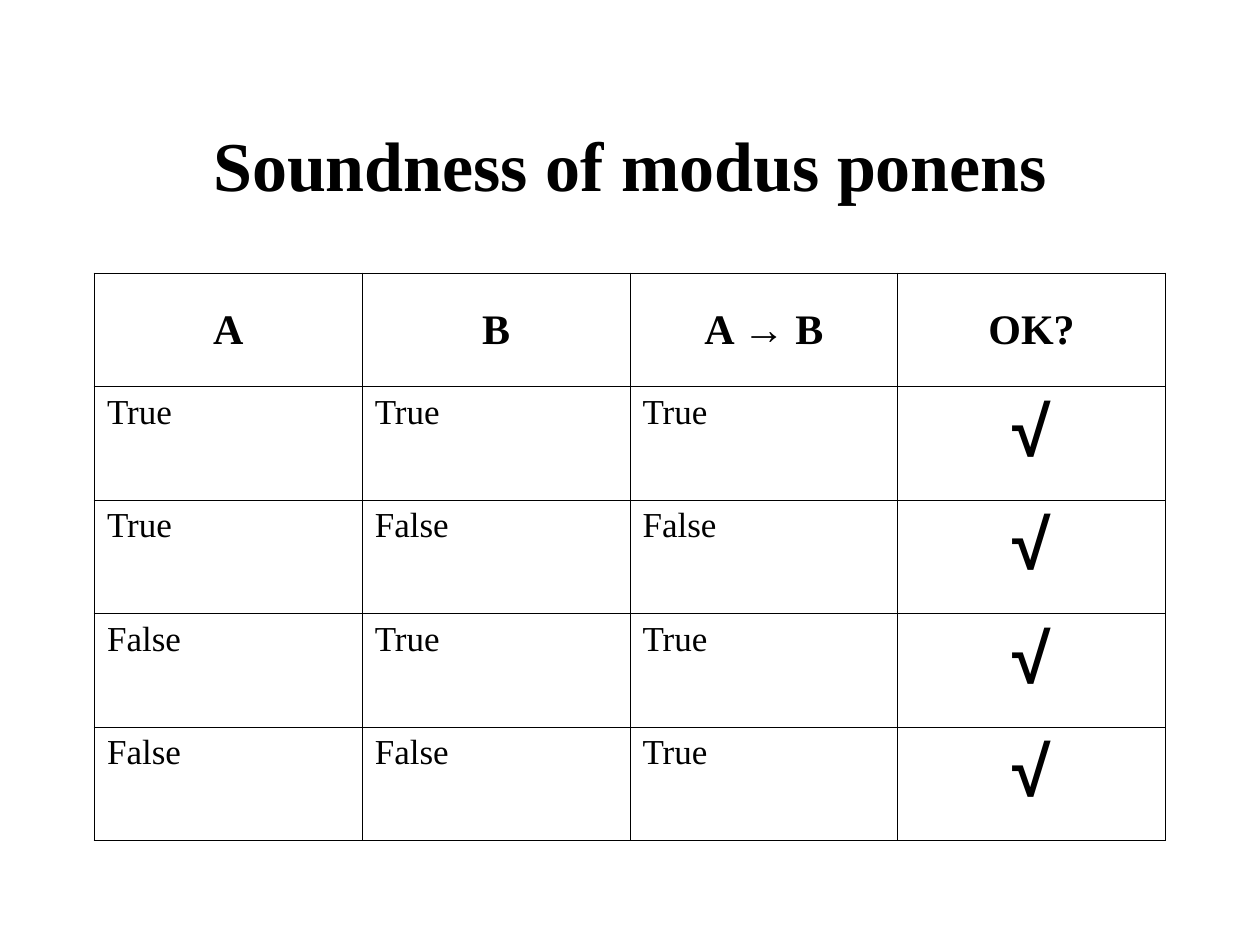
from dataclasses import dataclass

import lxml.etree
import pptx
import pptx.dml.color
import pptx.enum.text
import pptx.oxml.ns
import pptx.util

EMU_PER_PX = 9144  # 100 px to the inch
TITLE_BOX = (75, 67, 850, 125)
TABLE_BOX = (75, 217, 850, 450)

HEADINGS = ("A", "B", "A → B", "OK?")
TRUTH_ROWS = (
    ("True", "True", "True", "√"),
    ("True", "False", "False", "√"),
    ("False", "True", "True", "√"),
    ("False", "False", "True", "√"),
)

ALIGN = pptx.enum.text.PP_ALIGN
ANCHOR = pptx.enum.text.MSO_ANCHOR


@dataclass(frozen=True)
class Theme:
    ink: str = "000000"
    paper: str = "FFFFFF"
    serif: str = "Times New Roman"
    sans: str = "Arial"
    title_size: int = 40
    heading_size: int = 24
    value_size: int = 20
    mark_size: int = 40
    frame_width: float = 1.08
    grid_width: float = 0.45


THEME = Theme()

TITLE = {
    "font": {"name": THEME.serif, "size": pptx.util.Pt(THEME.title_size), "bold": True},
    "paragraph": {"alignment": ALIGN.CENTER},
}
HEADING = {
    "font": {"name": THEME.serif, "size": pptx.util.Pt(THEME.heading_size), "bold": True},
    "paragraph": {"alignment": ALIGN.CENTER, "space_before": pptx.util.Pt(6)},
    "cell": {"vertical_anchor": ANCHOR.MIDDLE},
}
VALUE = {
    "font": {"name": THEME.serif, "size": pptx.util.Pt(THEME.value_size), "bold": False},
    "paragraph": {"alignment": ALIGN.LEFT, "space_before": pptx.util.Pt(5)},
    "cell": {"vertical_anchor": ANCHOR.TOP},
}
MARK = {
    "font": {"name": THEME.sans, "size": pptx.util.Pt(THEME.mark_size), "bold": True},
    "paragraph": {"alignment": ALIGN.CENTER, "space_before": pptx.util.Pt(10)},
    "cell": {"vertical_anchor": ANCHOR.TOP},
}


def px(length):
    return pptx.util.Emu(length * EMU_PER_PX)


def set_all(target, values):
    for attribute, value in values.items():
        setattr(target, attribute, value)


def write_text(frame, text, style):
    paragraph = frame.paragraphs[0]
    set_all(paragraph, style["paragraph"])
    run = paragraph.add_run()
    run.text = text
    set_all(run.font, style["font"])
    run.font.color.rgb = pptx.dml.color.RGBColor.from_string(THEME.ink)


def add_title(slide, text):
    title = slide.shapes.title
    set_all(title, dict(zip(("left", "top", "width", "height"), map(px, TITLE_BOX))))
    set_all(title.text_frame, {
        "word_wrap": True,
        "auto_size": pptx.enum.text.MSO_AUTO_SIZE.NONE,
        "vertical_anchor": ANCHOR.MIDDLE,
    })
    write_text(title.text_frame, text, TITLE)


def set_borders(cell, on_frame):
    """Draw the four cell sides, heavier where a side lies on the outer frame."""
    qn = pptx.oxml.ns.qn
    properties = cell._tc.get_or_add_tcPr()
    for position, (side, outer) in enumerate(on_frame.items()):
        width = THEME.frame_width if outer else THEME.grid_width
        line = lxml.etree.Element(qn(f"a:ln{side}"), w=str(pptx.util.Pt(width)))
        fill = lxml.etree.SubElement(line, qn("a:solidFill"))
        lxml.etree.SubElement(fill, qn("a:srgbClr"), val=THEME.ink)
        properties.insert(position, line)


def style_for(row, column):
    if row == 0:
        return HEADING
    return MARK if column == len(HEADINGS) - 1 else VALUE


def add_truth_table(slide):
    rows = (HEADINGS, *TRUTH_ROWS)
    last_row, last_column = len(rows) - 1, len(HEADINGS) - 1
    table = slide.shapes.add_table(len(rows), len(HEADINGS), *map(px, TABLE_BOX)).table
    set_all(table, {"first_row": False, "horz_banding": False})
    for r, texts in enumerate(rows):
        for c, text in enumerate(texts):
            cell = table.cell(r, c)
            style = style_for(r, c)
            set_all(cell, style["cell"])
            cell.fill.background()
            write_text(cell.text_frame, text, style)
            set_borders(cell, {
                "L": c == 0, "R": c == last_column, "T": r == 0, "B": r == last_row,
            })


def main():
    deck = pptx.Presentation()
    set_all(deck, {"slide_width": px(1000), "slide_height": px(750)})
    slide = deck.slides.add_slide(deck.slide_layouts[5])
    background = slide.background.fill
    background.solid()
    background.fore_color.rgb = pptx.dml.color.RGBColor.from_string(THEME.paper)
    add_title(slide, "Soundness of modus ponens")
    add_truth_table(slide)
    deck.save("out.pptx")


if __name__ == "__main__":
    main()
